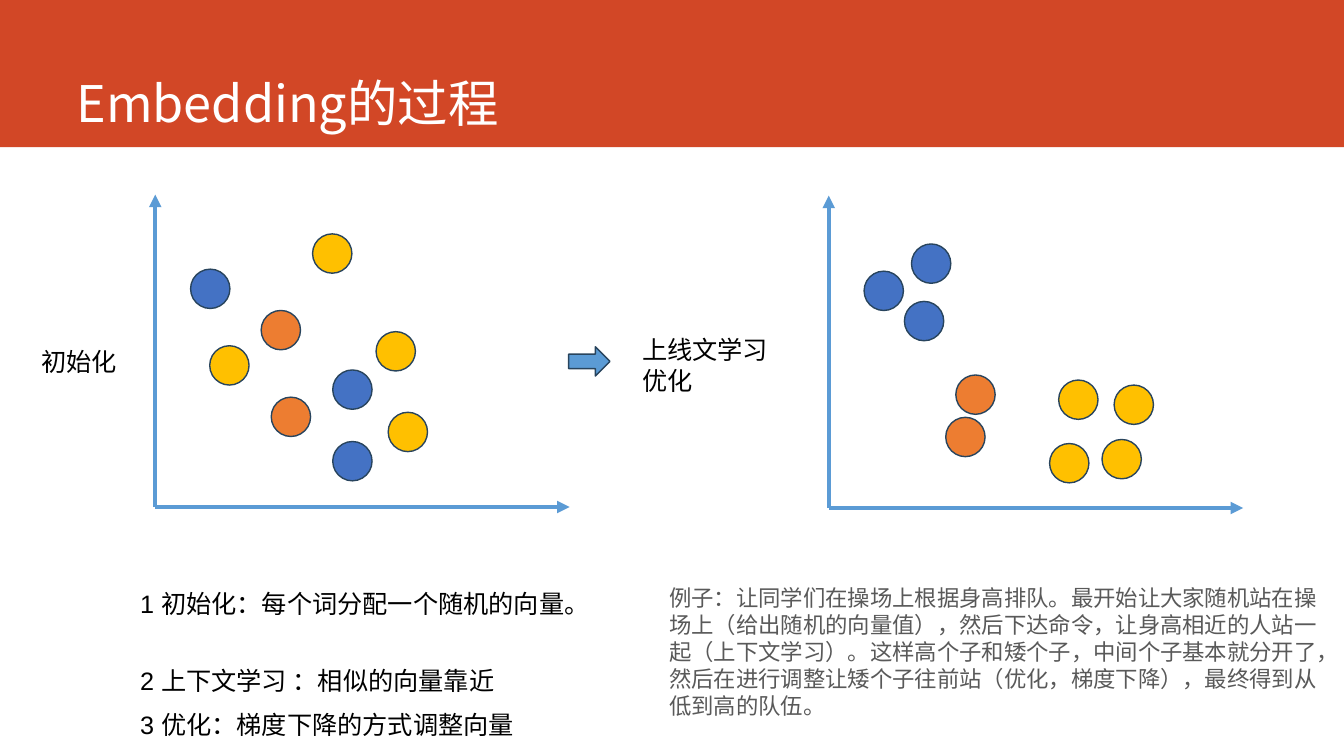
from lxml import etree
from pptx import Presentation
from pptx.dml.color import RGBColor
from pptx.enum.shapes import MSO_CONNECTOR, MSO_SHAPE
from pptx.enum.text import MSO_ANCHOR
from pptx.oxml.ns import qn
from pptx.util import Inches, Pt

STRAIGHT = MSO_CONNECTOR.STRAIGHT
BAR, DOT, ARROW = MSO_SHAPE.RECTANGLE, MSO_SHAPE.FLOWCHART_CONNECTOR, MSO_SHAPE.RIGHT_ARROW
BOTTOM = MSO_ANCHOR.BOTTOM

CJK = "Noto Sans CJK SC"
BLUE, ORANGE, YELLOW = "4472C4", "ED7D31", "FFC000"
AXIS, OUTLINE = "5B9BD5", "28445D"
DOT_SIZE = 0.39
AXIS_WIDTH, AXIS_HEIGHT = 4.11, 3.1

deck = Presentation()
deck.slide_width, deck.slide_height = Inches(13.33), Inches(7.5)
page = deck.slides.add_slide(deck.slide_layouts[6])


def add_block(kind, left, top, width, height, fill, outline=None):
    shape = page.shapes.add_shape(kind, Inches(left), Inches(top), Inches(width), Inches(height))
    shape.shadow.inherit = False
    shape.fill.solid()
    shape.fill.fore_color.rgb = RGBColor.from_string(fill)
    if outline:
        shape.line.color.rgb = RGBColor.from_string(outline)
        shape.line.width = Pt(1)
    else:
        shape.line.fill.background()


def add_text(left, top, width, height, lines, size, color, font="Arial", wrap=True):
    box = page.shapes.add_textbox(Inches(left), Inches(top), Inches(width), Inches(height))
    frame = box.text_frame
    frame.word_wrap = wrap
    frame.text = "\n".join(lines)
    for para in frame.paragraphs:
        para.font.name = font
        para.font.size = Pt(size)
        para.font.color.rgb = RGBColor.from_string(color)
        defaults = para._p.pPr.find(qn("a:defRPr"))
        etree.SubElement(defaults, qn("a:ea"), typeface=CJK)
    return frame


# Title band
add_block(BAR, 0, 0, 13.33, 1.46, "D24726")
title = add_text(0.66, 0, 11.76, 1.32, ["Embedding的过程"], 36, "FFFFFF", CJK)
title.vertical_anchor = BOTTOM
title.margin_bottom = 0

# Scatter diagrams: axis origin, then the top left corners of the dots by colour
scatters = [
    ((1.54, 5.03), {
        ORANGE: [(2.59, 3.08), (2.69, 3.94)],
        YELLOW: [(2.08, 3.43), (3.73, 3.29), (3.85, 4.09), (3.1, 2.32)],
        BLUE: [(3.3, 3.67), (1.89, 2.67), (3.3, 4.38)],
    }),
    ((8.22, 5.04), {
        ORANGE: [(9.48, 3.72), (9.38, 4.14)],
        YELLOW: [(10.93, 4.36), (10.5, 3.77), (10.41, 4.4), (11.05, 3.82)],
        BLUE: [(9.04, 2.42), (8.57, 2.69), (8.97, 2.99)],
    }),
]
for (x, y), groups in scatters:
    for end_x, end_y in [(x + AXIS_WIDTH, y), (x, y - AXIS_HEIGHT)]:
        axis = page.shapes.add_connector(STRAIGHT, Inches(x), Inches(y), Inches(end_x), Inches(end_y))
        axis.line.color.rgb = RGBColor.from_string(AXIS)
        axis.line.width = Pt(3)
        etree.SubElement(axis.line._get_or_add_ln(), qn("a:tailEnd"), type="triangle")
        etree.SubElement(axis._element.spPr, qn("a:effectLst"))
    for color, corners in groups.items():
        for left, top in corners:
            add_block(DOT, left, top, DOT_SIZE, DOT_SIZE, color, OUTLINE)

# Stage labels and the arrow between the diagrams
add_text(0.31, 3.39, 0.96, 0.4, ["初始化"], 18, "000000", wrap=False)
add_block(ARROW, 5.64, 3.44, 0.41, 0.29, AXIS, OUTLINE)
add_text(6.27, 3.27, 1.46, 0.71, ["上线文学习", "优化"], 18, "000000", wrap=False)

# Steps and worked example
steps = add_text(0.79, 5.77, 5.48, 1.3, [
    "1 初始化：每个词分配一个随机的向量。",
    "2 上下文学习 ：相似的向量靠近",
    "3 优化：梯度下降的方式调整向量",
], 18, "000000")
for para, gap in zip(steps.paragraphs, [32, 8, 8]):
    para.line_spacing = 1.07
    para.space_after = Pt(gap)
    para._p.pPr.set("marL", str(Inches(0.5)))

add_text(6.54, 5.75, 6.67, 1.45, [
    "例子：让同学们在操场上根据身高排队。最开始让大家随机站在操场上（给出随机的向量值），"
    "然后下达命令，让身高相近的人站一起（上下文学习）。这样高个子和矮个子，中间个子基本就分开了，"
    "然后在进行调整让矮个子往前站（优化，梯度下降），最终得到从低到高的队伍。"
], 16, "595959")

deck.save("out.pptx")
